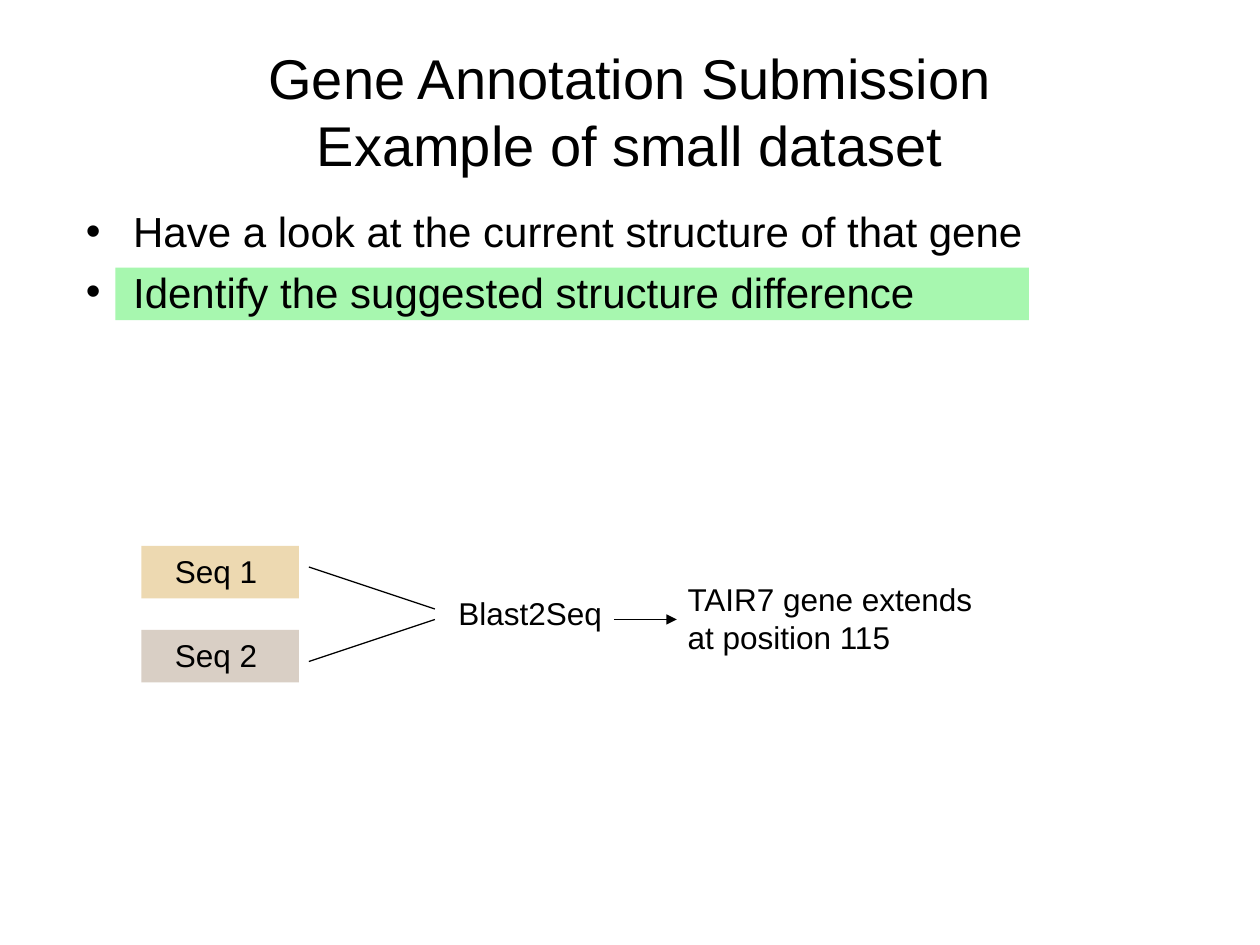
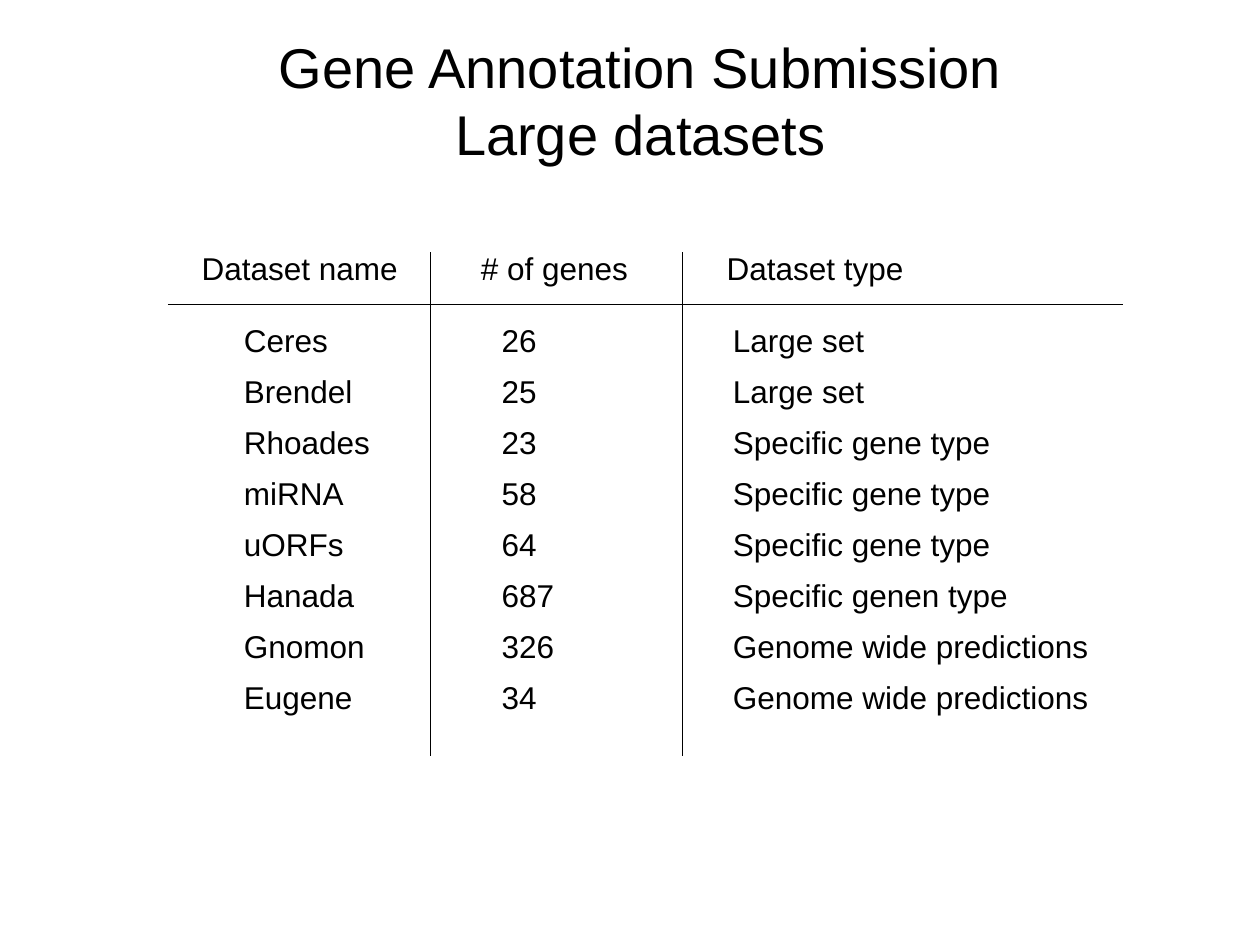
from lxml.etree import SubElement
from pptx import Presentation
from pptx.dml.color import RGBColor
from pptx.enum.shapes import MSO_CONNECTOR, MSO_SHAPE
from pptx.enum.text import MSO_ANCHOR, MSO_AUTO_SIZE, PP_ALIGN
from pptx.oxml.ns import qn
from pptx.util import Pt

FONT = "Arial"
BLACK, WHITE = "000000", "FFFFFF"
HIGHLIGHT, SAND, TAUPE = "A7F7AF", "EDD9B1", "D9CFC5"
TITLE_SIZE, BULLET_SIZE, LABEL_SIZE = 32, 24, 18
LINE_WIDTH = 0.75
TITLE_ONLY = 5


def color(hex_string):
    return RGBColor.from_string(hex_string)


def write_text(frame, text, size=LABEL_SIZE, align=PP_ALIGN.LEFT, gap=0,
               bullet_indent=0):
    """Fill a frame: a newline starts a paragraph, a vertical tab breaks a line."""
    frame.text = text
    for index, paragraph in enumerate(frame.paragraphs):
        if bullet_indent:
            properties = paragraph._p.get_or_add_pPr()
            properties.set("marL", str(Pt(bullet_indent)))
            properties.set("indent", str(-Pt(bullet_indent)))
            bullet_color = SubElement(properties, qn("a:buClr"))
            SubElement(bullet_color, qn("a:srgbClr"), val=BLACK)
            SubElement(properties, qn("a:buFont"), typeface=FONT)
            SubElement(properties, qn("a:buChar"), char="•")
        paragraph.alignment = align
        paragraph.space_before = Pt(gap if index else 0)
        for line_break in paragraph._p.findall(qn("a:br")):
            SubElement(line_break, qn("a:rPr"), sz=str(size * 100))
        for run in paragraph.runs:
            run.font.name = FONT
            run.font.size = Pt(size)
            run.font.color.rgb = color(BLACK)


def clear_borders(cell):
    properties = cell._tc.get_or_add_tcPr()
    for side in "LRTB":
        SubElement(SubElement(properties, qn(f"a:ln{side}")), qn("a:noFill"))


class Deck:
    def __init__(self):
        self.presentation = Presentation()
        self.presentation.slide_width = Pt(720)
        self.presentation.slide_height = Pt(540)
        self.slide = None

    def add_slide(self, title, left, top):
        layout = self.presentation.slide_layouts[TITLE_ONLY]
        self.slide = self.presentation.slides.add_slide(layout)
        self.slide.background.fill.solid()
        self.slide.background.fill.fore_color.rgb = color(WHITE)
        heading = self.slide.shapes.title
        heading.left, heading.top = Pt(left), Pt(top)
        heading.width, heading.height = Pt(648), Pt(90)
        frame = heading.text_frame
        frame.auto_size = MSO_AUTO_SIZE.NONE
        frame.vertical_anchor = MSO_ANCHOR.MIDDLE
        write_text(frame, title, size=TITLE_SIZE, align=PP_ALIGN.CENTER)

    def add_text(self, text, left, top, width, height, wrap=False, **text_format):
        box = self.slide.shapes.add_textbox(Pt(left), Pt(top), Pt(width), Pt(height))
        box.text_frame.word_wrap = wrap
        write_text(box.text_frame, text, **text_format)

    def add_block(self, fill, left, top, width, height, text="", inset=7.2):
        block = self.slide.shapes.add_shape(
            MSO_SHAPE.RECTANGLE, Pt(left), Pt(top), Pt(width), Pt(height))
        block.shadow.inherit = False
        block.fill.solid()
        block.fill.fore_color.rgb = color(fill)
        block.line.fill.background()
        if text:
            block.text_frame.vertical_anchor = MSO_ANCHOR.TOP
            block.text_frame.margin_left = Pt(inset)
            write_text(block.text_frame, text)

    def add_line(self, x1, y1, x2, y2, arrow=False):
        line = self.slide.shapes.add_connector(
            MSO_CONNECTOR.STRAIGHT, Pt(x1), Pt(y1), Pt(x2), Pt(y2))
        line.line.color.rgb = color(BLACK)
        line.line.width = Pt(LINE_WIDTH)
        properties = line._element.spPr
        if arrow:
            SubElement(properties.find(qn("a:ln")), qn("a:tailEnd"), type="triangle")
        SubElement(properties, qn("a:effectLst"))

    def add_table(self, rows, left, top, widths, heights, header_insets,
                  body_insets, top_margins):
        width, height = sum(widths), sum(heights)
        table = self.slide.shapes.add_table(
            len(rows), len(widths), Pt(left), Pt(top), Pt(width), Pt(height)).table
        table.first_row = table.horz_banding = False
        for column, column_width in zip(table.columns, widths):
            column.width = Pt(column_width)
        for r, values in enumerate(rows):
            table.rows[r].height = Pt(heights[r])
            for c, value in enumerate(values):
                cell = table.cell(r, c)
                clear_borders(cell)
                cell.fill.background()
                cell.vertical_anchor = MSO_ANCHOR.TOP
                insets = body_insets if r else header_insets
                cell.margin_left, cell.margin_right = Pt(insets[c]), Pt(0)
                cell.margin_top, cell.margin_bottom = Pt(top_margins[r]), Pt(0)
                write_text(cell.text_frame, value)

        # Rules under the header and between the columns
        header_bottom = top + heights[0]
        self.add_line(left, header_bottom, left + width, header_bottom)
        for count in range(1, len(widths)):
            x = left + sum(widths[:count])
            self.add_line(x, top, x, top + height)


def build_small_dataset(deck):
    deck.add_slide("Gene Annotation Submission\vExample of small dataset", 36, 18)

    # Steps, the current one highlighted
    deck.add_block(HIGHLIGHT, 66, 153, 522, 30)
    deck.add_text("Have a look at the current structure of that gene\n"
                  "Identify the suggested structure difference",
                  42, 113.8, 648, 150, wrap=True, size=BULLET_SIZE, gap=6,
                  bullet_indent=27)

    # Two sequences feed the comparison
    sequences = [("Seq 1", SAND, 312, 324, 348), ("Seq 2", TAUPE, 360, 378, 354)]
    for name, fill, top, line_start, line_end in sequences:
        deck.add_block(fill, 80.75, top, 90, 30, text=name, inset=19.2)
        deck.add_line(176.5, line_start, 248.5, line_end)

    # Comparison and its result
    deck.add_text("Blast2Seq", 254.9, 336, 96.5, 29)
    deck.add_line(350.75, 354, 386.75, 354, arrow=True)
    deck.add_text("TAIR7 gene extends\nat position 115", 385.8, 327.8, 178.5, 50.5)


def build_large_datasets(deck):
    deck.add_slide("Gene Annotation Submission\vLarge datasets", 42, 12)

    # Dataset overview
    datasets = [
        ("Dataset name", "# of genes", "Dataset type"),
        ("Ceres", "26", "Large set"),
        ("Brendel", "25", "Large set"),
        ("Rhoades", "23", "Specific gene type"),
        ("miRNA", "58", "Specific gene type"),
        ("uORFs", "64", "Specific gene type"),
        ("Hanada", "687", "Specific genen type"),
        ("Gnomon", "326", "Genome wide predictions"),
        ("Eugene", "34", "Genome wide predictions"),
    ]
    deck.add_table(datasets, 96, 144, widths=[150, 144, 252],
                   heights=[30, 36.1] + [29.15] * 6 + [47],
                   header_insets=[19.2, 28.8, 25.2],
                   body_insets=[43.4, 40.6, 28.8],
                   top_margins=[0, 11.1] + [4] * 7)


def main():
    deck = Deck()
    build_small_dataset(deck)
    build_large_datasets(deck)
    deck.presentation.save("out.pptx")


if __name__ == "__main__":
    main()
